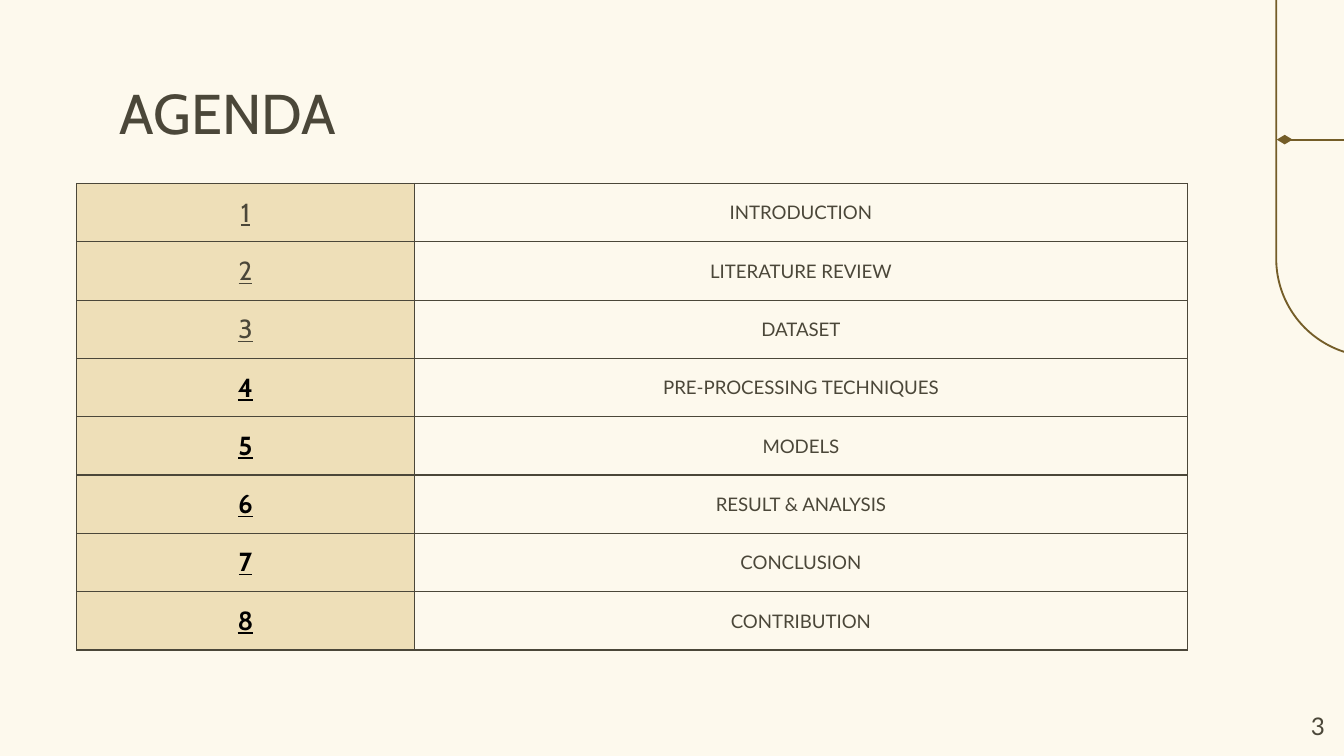
from lxml.etree import SubElement
from pptx import Presentation
from pptx.dml.color import RGBColor
from pptx.enum.shapes import MSO_CONNECTOR, MSO_SHAPE
from pptx.enum.text import MSO_ANCHOR, MSO_AUTO_SIZE, PP_ALIGN
from pptx.oxml.ns import qn
from pptx.util import Cm, Pt

COLORS = {
    "paper": "FDF9ED",
    "sand": "EEDFB8",
    "ink": "4B4739",
    "black": "000000",
    "bronze": "745D28",
}
TOPICS = [
    "INTRODUCTION",
    "LITERATURE REVIEW",
    "DATASET",
    "PRE-PROCESSING TECHNIQUES",
    "MODELS",
    "RESULT & ANALYSIS",
    "CONCLUSION",
    "CONTRIBUTION",
]
FIRST_BOLD_NUMBER = 4
NUMBER_WIDTH, TOPIC_WIDTH = 6.38, 14.61
INSET = Cm(0.25)


def color(name):
    return RGBColor.from_string(COLORS[name])


def style(para, font, size, ink="ink", align=PP_ALIGN.LEFT):
    para.alignment = align
    para.font.name = font
    para.font.size = Pt(size)
    para.font.color.rgb = color(ink)


def set_frame(frame, anchor):
    frame.word_wrap = True
    frame.auto_size = MSO_AUTO_SIZE.NONE
    frame.vertical_anchor = anchor
    frame.margin_left = frame.margin_right = INSET
    frame.margin_top = frame.margin_bottom = INSET


def add_arch(page, left, top, width, height):
    """Rounded outline with a pointer entering from the right edge."""
    arch = page.shapes.add_shape(
        MSO_SHAPE.ROUNDED_RECTANGLE, Cm(left), Cm(top), Cm(width), Cm(height))
    arch.adjustments[0] = 0.5
    arch.shadow.inherit = False
    arch.fill.background()
    arch.line.color.rgb = color("bronze")
    arch.line.width = Pt(1)

    # Pointer: a line with a small diamond at its tip
    pointer_y = top + 8.29
    pointer = page.shapes.add_connector(
        MSO_CONNECTOR.STRAIGHT, Cm(left + 0.24), Cm(pointer_y),
        Cm(left + 4.45), Cm(pointer_y))
    pointer.line.color.rgb = color("bronze")
    pointer.line.width = Pt(1)
    SubElement(pointer.element.spPr, qn("a:effectLst"))

    tip = page.shapes.add_shape(
        MSO_SHAPE.DIAMOND, Cm(left + 0.01), Cm(pointer_y - 0.09), Cm(0.3), Cm(0.18))
    tip.shadow.inherit = False
    tip.fill.solid()
    tip.fill.fore_color.rgb = color("bronze")
    tip.line.fill.background()


def add_title(page, left, top, width, height):
    title = page.shapes.title
    title.left, title.top = Cm(left), Cm(top)
    title.width, title.height = Cm(width), Cm(height)
    title.text_frame.text = "AGENDA"
    set_frame(title.text_frame, MSO_ANCHOR.TOP)
    style(title.text_frame.paragraphs[0], "Cabin", 30)


def add_borders(cell):
    properties = cell._tc.get_or_add_tcPr()
    for side in ("a:lnL", "a:lnR", "a:lnT", "a:lnB"):
        line = SubElement(properties, qn(side), w=str(Pt(0.75)))
        fill = SubElement(line, qn("a:solidFill"))
        SubElement(fill, qn("a:srgbClr"), val=COLORS["ink"])


def fill_cell(cell, text, background, font, size, ink="ink"):
    add_borders(cell)
    cell.fill.solid()
    cell.fill.fore_color.rgb = color(background)
    cell.vertical_anchor = MSO_ANCHOR.MIDDLE
    cell.margin_left = cell.margin_right = INSET
    cell.margin_top = cell.margin_bottom = INSET
    cell.text = text
    para = cell.text_frame.paragraphs[0]
    style(para, font, size, ink, PP_ALIGN.CENTER)
    return para


def add_agenda(page, left, top, width, height):
    table = page.shapes.add_table(
        len(TOPICS), 2, Cm(left), Cm(top), Cm(width), Cm(height)).table
    table.first_row = table.horz_banding = False
    table.columns[0].width = Cm(NUMBER_WIDTH)
    table.columns[1].width = Cm(TOPIC_WIDTH)
    for number, topic in enumerate(TOPICS, start=1):
        bold = number >= FIRST_BOLD_NUMBER
        row = number - 1
        para = fill_cell(table.cell(row, 0), str(number), "sand", "Cabin", 14,
                         "black" if bold else "ink")
        para.font.underline = True
        para.font.bold = bold
        fill_cell(table.cell(row, 1), topic, "paper", "Lato", 10)


def add_page_number(page, left, top, width, height):
    box = page.shapes.add_textbox(Cm(left), Cm(top), Cm(width), Cm(height))
    box.text_frame.text = "3"
    set_frame(box.text_frame, MSO_ANCHOR.MIDDLE)
    style(box.text_frame.paragraphs[0], "Lato", 13, align=PP_ALIGN.RIGHT)


def main():
    deck = Presentation()
    deck.slide_width, deck.slide_height = Cm(25.4), Cm(14.29)
    page = deck.slides.add_slide(deck.slide_layouts[5])
    page.background.fill.solid()
    page.background.fill.fore_color.rgb = color("paper")

    add_arch(page, 24.12, -5.65, 3.7, 12.39)
    add_title(page, 2.01, 1.24, 21.41, 1.6)
    add_agenda(page, 1.45, 3.47, NUMBER_WIDTH + TOPIC_WIDTH, 8.32)
    add_page_number(page, 23.77, 13.18, 1.52, 1.09)
    deck.save("out.pptx")


if __name__ == "__main__":
    main()
